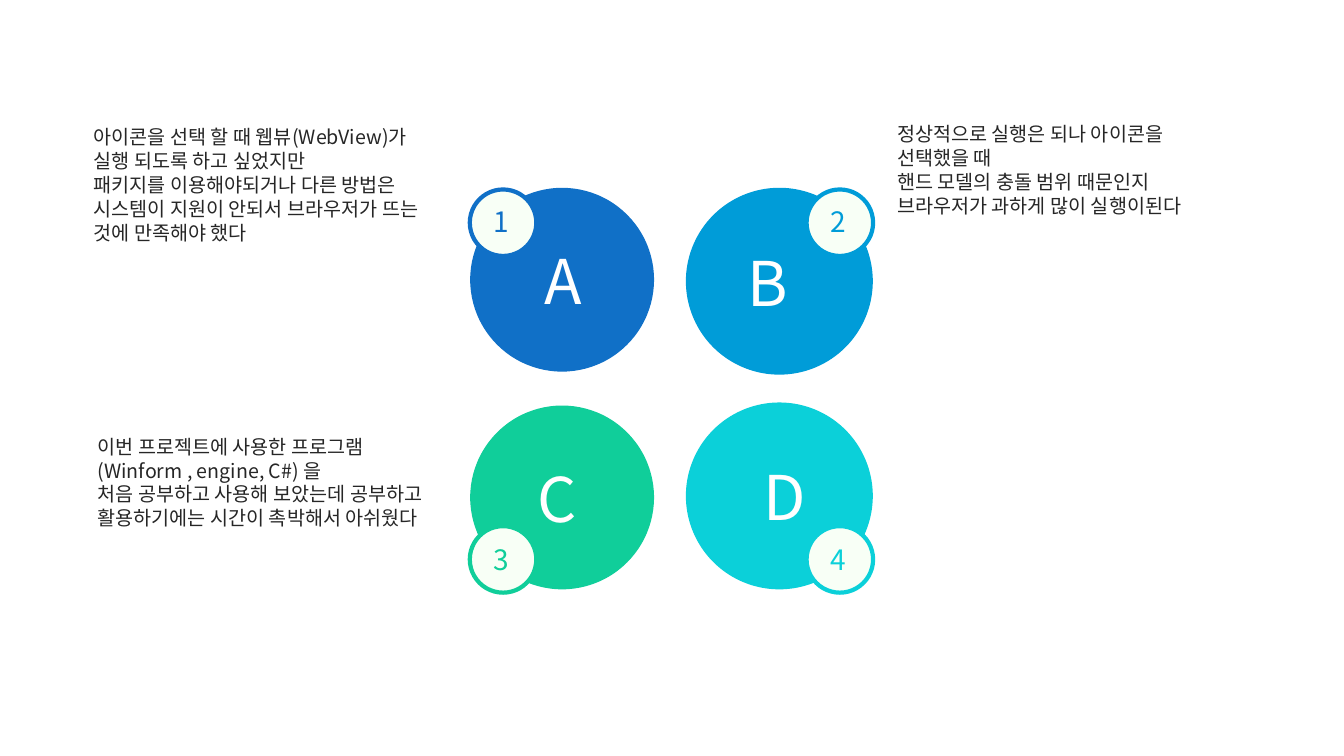
import pptx
import pptx.util
import pptx.dml.color
import pptx.enum.shapes
from dataclasses import dataclass
from lxml import etree

Inches = pptx.util.Inches
Pt = pptx.util.Pt

# Content: letter, number, colour, disc (left, top, size), letter and number positions
TOPICS = [
    ("A", "1", "1070C7", (4.67, 1.87, 1.81), (5.30, 2.36), (4.80, 1.98)),
    ("B", "2", "009CD8", (6.81, 1.87, 1.84), (7.32, 2.38), (8.14, 1.98)),
    ("C", "3", "10CE9A", (4.67, 4.03, 1.81), (5.23, 4.52), (4.80, 5.33)),
    ("D", "4", "0BD0D9", (6.81, 4.00, 1.84), (7.47, 4.50), (8.14, 5.33)),
]
REMARKS = [
    ((0.83, 1.19, 3.62, 1.26), [
        "아이콘을 선택 할 때 웹뷰(WebView)가 실행 되도록 하고 싶었지만",
        "패키지를 이용해야되거나 다른 방법은 시스템이 지원이 안되서 브라우저가 뜨는 것에 만족해야 했다",
    ]),
    ((8.8, 1.16, 3.3, 1.04), [
        "정상적으로 실행은 되나 아이콘을 선택했을 때",
        "핸드 모델의 충돌 범위 때문인지 브라우저가 과하게 많이 실행이된다",
    ]),
    ((0.87, 4.26, 3.5, 1.26), [
        "이번 프로젝트에 사용한 프로그램",
        "(Winform , engine, C#) 을",
        "처음 공부하고 사용해 보았는데 공부하고 활용하기에는 시간이 촉박해서 아쉬웠다",
    ]),
]


@dataclass(frozen=True)
class Theme:
    font: str = "Noto Sans CJK KR"
    ink: str = "262626"
    white: str = "FFFFFF"
    badge: str = "F8FFF6"
    # Type size and line height in points
    remark: tuple = (14, 17)
    letter: tuple = (44, 53)
    number: tuple = (20, 24)


THEME = Theme()
BADGE_SIZE = 0.66
BADGE_LEFTS = (4.66, 8.0)
BADGE_TOPS = (1.88, 5.22)


def rgb(value):
    return pptx.dml.color.RGBColor.from_string(value)


def add_circle(slide, left, top, size, fill, line, line_width):
    circle = slide.shapes.add_shape(
        pptx.enum.shapes.MSO_SHAPE.OVAL,
        Inches(left), Inches(top), Inches(size), Inches(size))
    circle.shadow.inherit = False
    circle.fill.solid()
    circle.fill.fore_color.rgb = rgb(fill)
    circle.line.color.rgb = rgb(line)
    circle.line.width = Pt(line_width)


def add_text(slide, box, lines, type_style, color):
    size, line_height = type_style
    frame = slide.shapes.add_textbox(*map(Inches, box)).text_frame
    frame.word_wrap = True
    frame.text = "\n".join(lines)
    for paragraph in frame.paragraphs:
        paragraph.line_spacing = Pt(line_height)
        for run in paragraph.runs:
            run.font.size = Pt(size)
            run.font.name = THEME.font
            run.font.color.rgb = rgb(color)
            # East Asian typeface for Hangul
            east_asian = etree.SubElement(
                run.font._element, pptx.oxml.ns.qn("a:ea"))
            east_asian.set("typeface", THEME.font)


def main():
    deck = pptx.Presentation()
    deck.slide_width, deck.slide_height = Inches(13.33), Inches(7.5)
    slide = deck.slides.add_slide(deck.slide_layouts[6])

    # Lettered discs with numbered badges at the outer corners
    for index, (letter, number, color, disc, letter_at, number_at) in enumerate(TOPICS):
        row, column = divmod(index, 2)
        add_circle(slide, *disc, color, color, 1)
        add_circle(slide, BADGE_LEFTS[column], BADGE_TOPS[row], BADGE_SIZE,
                   THEME.badge, color, 3)
        add_text(slide, (*letter_at, 0.65, 0.82), [letter], THEME.letter, THEME.white)
        add_text(slide, (*number_at, 0.37, 0.44), [number], THEME.number, color)

    # Remarks beside the discs
    for box, lines in REMARKS:
        add_text(slide, box, lines, THEME.remark, THEME.ink)

    deck.save("out.pptx")


if __name__ == "__main__":
    main()
